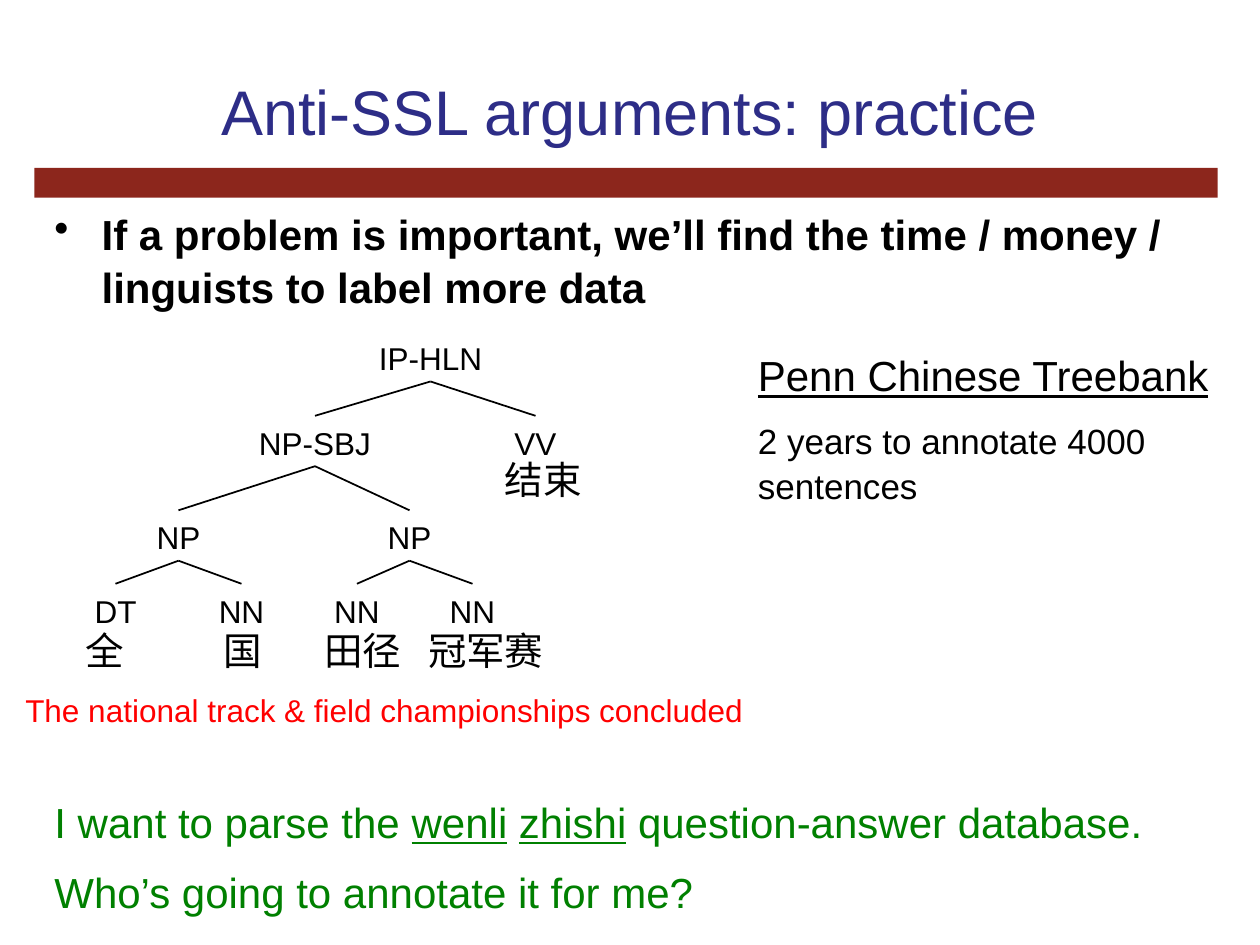
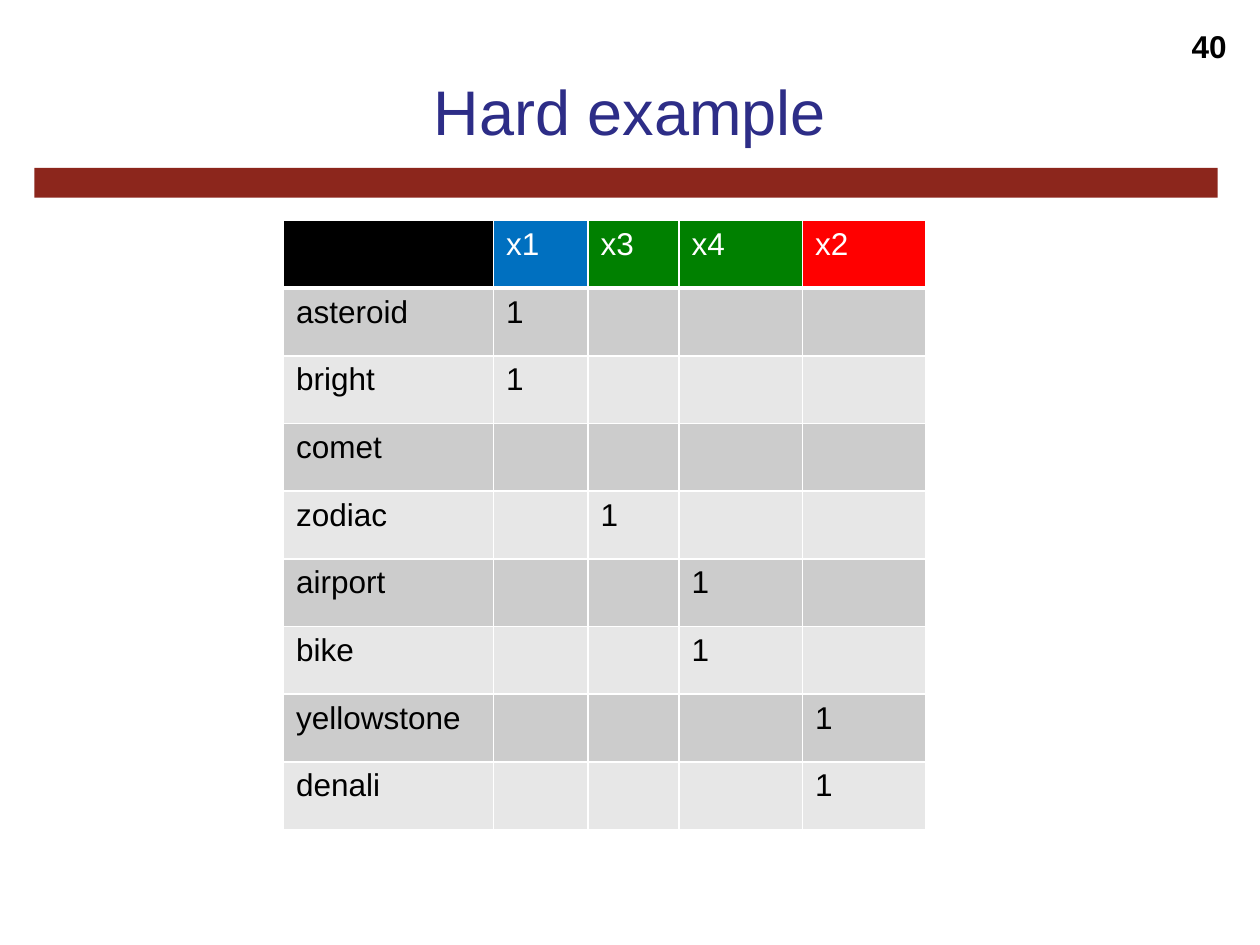
import pptx
import pptx.dml.color
import pptx.enum.shapes
import pptx.enum.text
import pptx.oxml
import pptx.oxml.ns
import pptx.util

Pt = pptx.util.Pt
RGBColor = pptx.dml.color.RGBColor
ALIGN = pptx.enum.text.PP_ALIGN
FONT = "Arial"

BLACK = RGBColor(0x00, 0x00, 0x00)
WHITE = RGBColor(0xFF, 0xFF, 0xFF)
RED = RGBColor(0xFF, 0x00, 0x00)
GREEN = RGBColor(0x00, 0x80, 0x00)
BLUE = RGBColor(0x00, 0x70, 0xC0)
NAVY = RGBColor(0x2D, 0x2D, 0x87)
MAROON = RGBColor(0x8C, 0x26, 0x1C)
ROW_FILLS = (RGBColor(0xCC, 0xCC, 0xCC), RGBColor(0xE7, 0xE7, 0xE7))

PRACTICE_TITLE = "Anti-SSL arguments: practice"
ARGUMENT = "If a problem is important, we’ll find the time / money / linguists to label more data"
TREEBANK_NAME = "Penn Chinese Treebank"
TREEBANK_COST = "2 years to annotate 4000 sentences"
TRANSLATION = "The national track & field championships concluded"
WISH = [("I want to parse the ", False), ("wenli", True), (" ", False),
        ("zhishi", True), (" question-answer database.", False)]
QUESTION = "Who’s going to annotate it for me?"

# label, centre, level, children
PARSE_TREE = ("IP-HLN", 246, 0, [
    ("NP-SBJ", 180, 1, [
        ("NP", 102, 2, [("DT", 66, 3, []), ("NN", 138, 3, [])]),
        ("NP", 234, 2, [("NN", 204, 3, []), ("NN", 270, 3, [])]),
    ]),
    ("VV", 306, 1, []),
])
LEVEL_TOPS = (189.2, 237.6, 291.6, 333.6)
NODE_WIDTH, NODE_HEIGHT = 84, 28.8
WORDS = [("全", 60, 353.6), ("国", 138.6, 353.6), ("田径", 207.4, 353.6),
         ("冠军赛", 277.6, 353.6), ("结束", 310.4, 255.6)]

EXAMPLE_TITLE = "Hard example"
SLIDE_NUMBER = "40"
FEATURES = [("", BLACK), ("x1", BLUE), ("x3", GREEN), ("x4", GREEN), ("x2", RED)]
ACTIVE_FEATURE = [("asteroid", "x1"), ("bright", "x1"), ("comet", None), ("zodiac", "x3"),
                  ("airport", "x4"), ("bike", "x4"), ("yellowstone", "x2"), ("denali", "x2")]
COLUMN_WIDTHS = (120, 54, 52, 70.6, 70.6)
ROW_HEIGHT = 38.67


def add_run(paragraph, text, size, color=BLACK, bold=False, underline=False):
    """Append one formatted run."""
    run = paragraph.add_run()
    run.text = text
    font = run.font
    font.name, font.size, font.bold, font.underline = FONT, Pt(size), bold, underline
    font.color.rgb = color


def add_text_frame(slide, left, top, width, height, wrap=True):
    """Add a text box and return its text frame."""
    text_frame = slide.shapes.add_textbox(Pt(left), Pt(top), Pt(width), Pt(height)).text_frame
    text_frame.word_wrap = wrap
    return text_frame


def format_paragraph(paragraph, align=ALIGN.LEFT, margin=0, bullet=None, space_before=0):
    """Set alignment, indent, bullet and spacing."""
    properties = paragraph._p.get_or_add_pPr()
    properties.set("marL", str(Pt(margin)))
    properties.set("indent", str(Pt(-margin if bullet else 0)))
    if bullet:
        pptx.oxml.ns.qn("a:buChar")
        properties.append(pptx.oxml.parse_xml(
            f'<a:buChar {pptx.oxml.ns.nsdecls("a")} char="{bullet}"/>'))
    paragraph.alignment = align
    paragraph.line_spacing = 1.05
    paragraph.space_before = Pt(space_before)
    return paragraph


def add_label(slide, text, box, size, color=BLACK, align=ALIGN.CENTER, bold=False, wrap=True):
    """Add a text box with one line of text."""
    text_frame = add_text_frame(slide, *box, wrap=wrap)
    add_run(format_paragraph(text_frame.paragraphs[0], align), text, size, color, bold)
    return slide.shapes[-1]


def add_titled_slide(presentation, title_text):
    """Add a slide with the shared title and band."""
    slide = presentation.slides.add_slide(presentation.slide_layouts[5])
    title = slide.shapes.title
    title.left, title.top, title.width, title.height = Pt(36), Pt(18), Pt(648), Pt(90)
    title.text_frame.vertical_anchor = pptx.enum.text.MSO_ANCHOR.MIDDLE
    paragraph = title.text_frame.paragraphs[0]
    paragraph.alignment = ALIGN.CENTER
    add_run(paragraph, title_text, 36, NAVY)
    band = slide.shapes.add_shape(pptx.enum.shapes.MSO_SHAPE.RECTANGLE,
                                  Pt(19.6), Pt(96), Pt(676.2), Pt(17))
    band.shadow.inherit = False
    band.fill.solid()
    band.fill.fore_color.rgb = MAROON
    band.line.fill.background()
    return slide


def add_tree(slide, node):
    """Draw a node and its subtree, and return the node's shape."""
    label, center, level, children = node
    box = (center - NODE_WIDTH / 2, LEVEL_TOPS[level], NODE_WIDTH, NODE_HEIGHT)
    parent = add_label(slide, label, box, 18)
    for child in children:
        child_shape = add_tree(slide, child)
        branch = slide.shapes.add_connector(pptx.enum.shapes.MSO_CONNECTOR.STRAIGHT, 0, 0, 0, 0)
        branch.begin_connect(parent, 2)
        branch.end_connect(child_shape, 0)
        branch.line.color.rgb = BLACK
        branch.line.width = Pt(1)
        branch._element.spPr.append(pptx.oxml.parse_xml(
            f'<a:effectLst {pptx.oxml.ns.nsdecls("a")}/>'))
    return parent


def build_practice_slide(presentation):
    """Build the slide on annotation cost."""
    slide = add_titled_slide(presentation, PRACTICE_TITLE)
    argument = add_text_frame(slide, 24, 114, 672, 78).paragraphs[0]
    add_run(format_paragraph(argument, margin=27, bullet="•"), ARGUMENT, 24, bold=True)

    treebank = add_text_frame(slide, 390, 195, 318, 95)
    add_run(format_paragraph(treebank.paragraphs[0], margin=36), TREEBANK_NAME, 24, underline=True)
    add_run(format_paragraph(treebank.add_paragraph(), margin=36, space_before=10),
            TREEBANK_COST, 20)

    add_tree(slide, PARSE_TREE)
    for word, center, top in WORDS:
        width = 14.4 + 22 * len(word)
        add_label(slide, word, (center - width / 2, top, width, 33.8), 22, wrap=False)
    add_label(slide, TRANSLATION, (-53.4, 390, 546, 28.8), 18, RED)

    wish = add_text_frame(slide, -12, 450, 696, 75.6)
    paragraph = format_paragraph(wish.paragraphs[0], margin=36)
    for text, underline in WISH:
        add_run(paragraph, text, 24, GREEN, underline=underline)
    add_run(format_paragraph(wish.add_paragraph(), margin=36, space_before=10),
            QUESTION, 24, GREEN)


def format_cell(cell, text, fill, color, bottom_width):
    """Set the borders, fill and text of a cell."""
    properties = cell._tc.get_or_add_tcPr()
    for side, width in (("L", 1), ("R", 1), ("T", 1), ("B", bottom_width)):
        properties.append(pptx.oxml.parse_xml(
            f'<a:ln{side} {pptx.oxml.ns.nsdecls("a")} w="{Pt(width)}">'
            f'<a:solidFill><a:srgbClr val="{WHITE}"/></a:solidFill></a:ln{side}>'))
    cell.fill.solid()
    cell.fill.fore_color.rgb = fill
    if text:
        add_run(cell.text_frame.paragraphs[0], text, 18, color)


def build_example_slide(presentation):
    """Build the slide with the feature table."""
    slide = add_titled_slide(presentation, EXAMPLE_TITLE)
    add_label(slide, SLIDE_NUMBER, (612, 10.8, 96, 37.4), 18, align=ALIGN.RIGHT, bold=True)
    row_count = len(ACTIVE_FEATURE) + 1
    table = slide.shapes.add_table(row_count, len(FEATURES), Pt(162), Pt(126),
                                   Pt(sum(COLUMN_WIDTHS)), Pt(ROW_HEIGHT * row_count)).table
    for column, width in zip(table.columns, COLUMN_WIDTHS):
        column.width = Pt(width)
    for row in table.rows:
        row.height = Pt(ROW_HEIGHT)
    for column_index, (feature, header_fill) in enumerate(FEATURES):
        format_cell(table.cell(0, column_index), feature, header_fill, WHITE, 3)
        for row_index, (word, active) in enumerate(ACTIVE_FEATURE):
            text = word if column_index == 0 else "1" if feature == active else ""
            format_cell(table.cell(row_index + 1, column_index), text,
                        ROW_FILLS[row_index % 2], BLACK, 1)


def main():
    """Build and save the presentation."""
    presentation = pptx.Presentation()
    presentation.slide_width, presentation.slide_height = Pt(720), Pt(540)
    build_practice_slide(presentation)
    build_example_slide(presentation)
    presentation.save("out.pptx")


if __name__ == "__main__":
    main()
